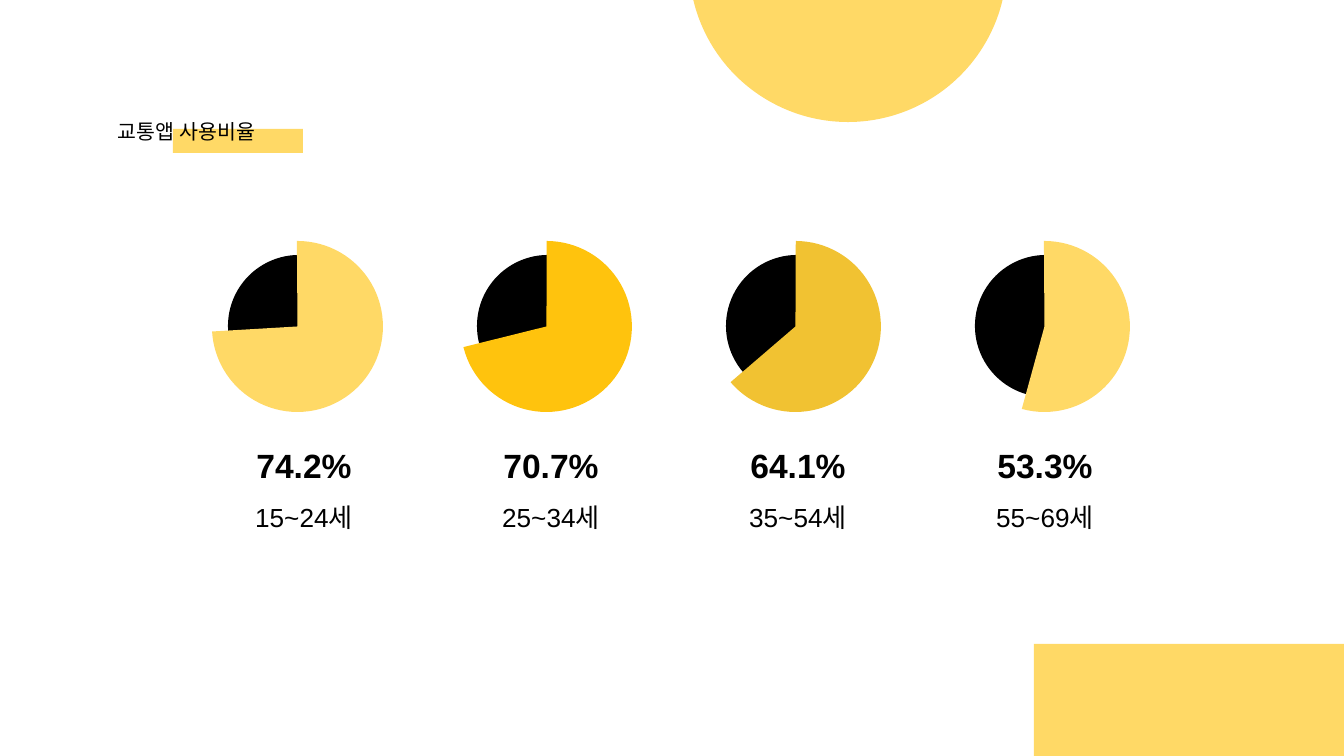
from pptx import Presentation
from pptx.dml.color import RGBColor
from pptx.enum.shapes import MSO_SHAPE
from pptx.enum.text import MSO_ANCHOR, PP_ALIGN
from pptx.util import Pt

RECTANGLE, OVAL, PIE = MSO_SHAPE.RECTANGLE, MSO_SHAPE.OVAL, MSO_SHAPE.PIE
TOP, BOTTOM = MSO_ANCHOR.TOP, MSO_ANCHOR.BOTTOM
LEFT, CENTER = PP_ALIGN.LEFT, PP_ALIGN.CENTER

EMU_PER_PX = 914400 / 134.4
FONT = "Arial"
COLORS = {
    "black": "000000",
    "yellow": "FFD966",
    "amber": "FFC30D",
    "gold": "F1C232",
}

TITLE = "교통앱 사용비율"
# share of users, age group, slice colour, slice start and end in degrees
AGE_GROUPS = [
    ("74.2%", "15~24세", "yellow", 269.63, 176.62),
    ("70.7%", "25~34세", "amber", 270.2, 166.04),
    ("64.1%", "35~54세", "gold", 270.24, 139.33),
    ("53.3%", "55~69세", "yellow", 269.67, 105.33),
]
DECORATIONS = [
    (OVAL, (689, -196, 318, 318)),
    (RECTANGLE, (1034, 644, 310, 112)),
    (RECTANGLE, (173, 129, 130, 24)),
]

DISC_LEFT, DISC_TOP, DISC_SIZE = 228, 255, 142
SLICE_LEFT, SLICE_TOP, SLICE_SIZE = 212, 241, 171
CHART_PITCH = 249
LABEL_LEFT, LABEL_WIDTH, LABEL_PITCH = 191, 226, 247
SHARE_TOP, SHARE_HEIGHT = 446, 52
AGE_TOP, AGE_HEIGHT = 488, 63
INSET = 13
PIE_UNITS_PER_DEGREE = 0.6


def px(value):
    return round(value * EMU_PER_PX)


def add_figure(slide, kind, box, color):
    figure = slide.shapes.add_shape(kind, *map(px, box))
    figure.shadow.inherit = False
    figure.fill.solid()
    figure.fill.fore_color.rgb = RGBColor.from_string(COLORS[color])
    figure.line.fill.background()
    return figure


def add_label(slide, text, box, size, anchor, align=CENTER, bold=False, after=0):
    frame = slide.shapes.add_textbox(*map(px, box)).text_frame
    frame.word_wrap = True
    frame.vertical_anchor = anchor
    frame.margin_left = frame.margin_right = px(INSET)
    frame.margin_top = frame.margin_bottom = px(INSET)
    frame.text = text
    paragraph = frame.paragraphs[0]
    paragraph.alignment = align
    paragraph.space_after = Pt(after)
    font = paragraph.runs[0].font
    font.name = FONT
    font.size = Pt(size)
    font.bold = bold
    font.color.rgb = RGBColor.from_string(COLORS["black"])


def add_age_group(slide, index, share, age, color, start, end):
    chart_shift = index * CHART_PITCH
    disc_box = (DISC_LEFT + chart_shift, DISC_TOP, DISC_SIZE, DISC_SIZE)
    add_figure(slide, OVAL, disc_box, "black")
    slice_box = (SLICE_LEFT + chart_shift, SLICE_TOP, SLICE_SIZE, SLICE_SIZE)
    share_slice = add_figure(slide, PIE, slice_box, color)
    share_slice.adjustments[0] = start * PIE_UNITS_PER_DEGREE
    share_slice.adjustments[1] = end * PIE_UNITS_PER_DEGREE

    left = LABEL_LEFT + index * LABEL_PITCH
    add_label(slide, share, (left, SHARE_TOP, LABEL_WIDTH, SHARE_HEIGHT),
              18, BOTTOM, bold=True)
    add_label(slide, age, (left, AGE_TOP, LABEL_WIDTH, AGE_HEIGHT),
              14, TOP, after=16)


def main():
    deck = Presentation()
    deck.slide_width, deck.slide_height = px(1344), px(756)
    slide = deck.slides.add_slide(deck.slide_layouts[6])
    for kind, box in DECORATIONS:
        add_figure(slide, kind, box, "yellow")
    add_label(slide, TITLE, (105, 105, 1138, 51), 11, BOTTOM, align=LEFT)
    for index, group in enumerate(AGE_GROUPS):
        add_age_group(slide, index, *group)
    deck.save("out.pptx")


if __name__ == "__main__":
    main()
